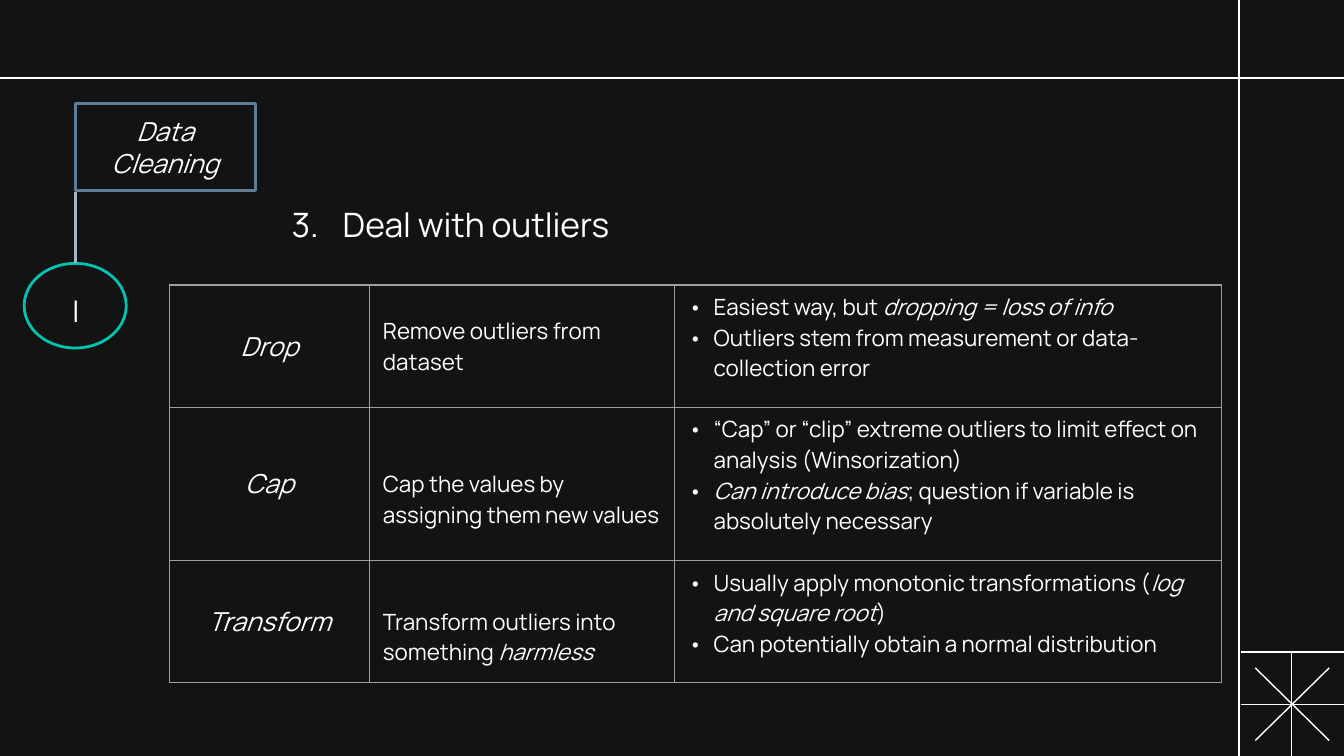
from dataclasses import dataclass

from lxml.etree import SubElement
from pptx import Presentation
from pptx.dml.color import RGBColor
from pptx.enum.shapes import MSO_CONNECTOR, MSO_SHAPE
from pptx.enum.text import MSO_ANCHOR as Anchor, MSO_AUTO_SIZE as AutoSize, PP_ALIGN as Align
from pptx.oxml import parse_xml
from pptx.oxml.ns import nsdecls, qn
from pptx.util import Inches, Pt


@dataclass(frozen=True)
class Theme:
    font: str = "Manrope"
    background: str = "131313"
    ink: str = "FFFFFF"
    flag: str = "5F7D95"
    pole: str = "A5B7C6"
    ring: str = "00C3B1"
    grid: str = "9E9E9E"
    title: int = 18
    numeral: int = 16
    label: int = 14
    body: int = 12
    thin: float = 0.75
    thick: float = 1.5


THEME = Theme()

# Asterisks enclose italic words
METHODS = [
    ("*Drop*", "Remove outliers from dataset",
     ["Easiest way, but *dropping = loss of info*",
      "Outliers stem from measurement or data-collection error"]),
    ("*Cap*", "Cap the values by assigning them new values",
     ["“Cap” or “clip” extreme outliers to limit effect on analysis (Winsorization)",
      "*Can introduce bias*; question if variable is absolutely necessary"]),
    ("*Transform*", "Transform outliers into something *harmless*",
     ["Usually apply monotonic transformations (*log and square root*)",
      "Can potentially obtain a normal distribution"]),
]
COLUMN_WIDTHS = (1.49, 2.27, 4.07)
ROW_HEIGHTS = (0.91, 1.14, 0.91)
DESCRIPTION_TOPS = (0.05, 0.28, 0.28)  # lower rows sit half a line below centre


def rgb(color):
    return RGBColor.from_string(color)


def add_bullet(paragraph, indent, bullet):
    """Hang a paragraph behind a mark; bullet is a tag name and its attributes."""
    tag, attributes = bullet
    properties = paragraph._p.get_or_add_pPr()
    properties.set("marL", str(Inches(indent)))
    properties.set("indent", str(-Inches(indent)))
    mark_color = SubElement(properties, qn("a:buClr"))
    SubElement(mark_color, qn("a:srgbClr"), val=THEME.ink)
    SubElement(properties, qn("a:buFont"), typeface=THEME.font)
    SubElement(properties, qn(tag), **attributes)


def write_text(frame, *lines, size=THEME.body, align=Align.LEFT, bullet=None, indent=0.19):
    for number, line in enumerate(lines):
        paragraph = frame.add_paragraph() if number else frame.paragraphs[0]
        paragraph.alignment = align
        if bullet:
            add_bullet(paragraph, indent, bullet)
        for part, words in enumerate(line.split("*")):
            if words:
                run = paragraph.add_run()
                run.text = words
                run.font.name = THEME.font
                run.font.size = Pt(size)
                run.font.italic = part % 2 == 1
                run.font.color.rgb = rgb(THEME.ink)


def add_line(slide, start, end, color=THEME.ink, width=THEME.thin):
    line = slide.shapes.add_connector(
        MSO_CONNECTOR.STRAIGHT, *(Inches(value) for value in (*start, *end)))
    line.line.color.rgb = rgb(color)
    line.line.width = Pt(width)
    SubElement(line._element.spPr, qn("a:effectLst"))
    return line


def add_outline(slide, preset, box, color):
    outline = slide.shapes.add_shape(preset, *map(Inches, box))
    outline.shadow.inherit = False
    outline.fill.background()
    outline.line.color.rgb = rgb(color)
    outline.line.width = Pt(THEME.thick)
    return outline


def add_frame_lines(slide):
    # Long rules
    add_line(slide, (9.22, 5.72), (9.22, -0.1))
    add_line(slide, (-0.1, 0.58), (10.1, 0.58))
    add_line(slide, (9.23, 4.85), (10.1, 4.85))
    # Corner star
    add_line(slide, (9.61, 5.63), (9.61, 4.85))
    add_line(slide, (9.23, 5.24), (10, 5.24))
    add_line(slide, (9.89, 5.51), (9.34, 4.97))
    add_line(slide, (9.89, 4.97), (9.34, 5.51))


def add_section_flag(slide):
    ring = add_outline(slide, MSO_SHAPE.OVAL, (0.18, 1.96, 0.76, 0.63), THEME.ring)
    numeral = slide.shapes.add_textbox(
        *map(Inches, (0.44, 2.13, 0.23, 0.34))).text_frame
    numeral.word_wrap = False
    write_text(numeral, "I", size=THEME.numeral, align=Align.CENTER)

    pole = add_line(slide, (0.56, 1.96), (0.56, 1.43), THEME.pole, THEME.thick)
    pole.begin_connect(ring, 0)

    flag = add_outline(slide, MSO_SHAPE.RECTANGLE, (0.56, 0.77, 1.34, 0.65), THEME.flag)
    section = flag.text_frame
    section.word_wrap = True
    section.vertical_anchor = Anchor.MIDDLE
    section.margin_left = section.margin_right = Inches(0.1)
    section.margin_top = section.margin_bottom = Inches(0.1)
    write_text(section, "*Data Cleaning*", size=THEME.label, align=Align.CENTER)


def add_heading(slide):
    heading = slide.shapes.title
    heading.left, heading.top, heading.width, heading.height = map(
        Inches, (2.07, 1.47, 7.02, 1.31))
    heading.text_frame.auto_size = AutoSize.NONE
    heading.text_frame.word_wrap = True
    heading.text_frame.vertical_anchor = Anchor.TOP
    write_text(heading.text_frame, "Deal with outliers", size=THEME.title, indent=0.38,
               bullet=("a:buAutoNum", {"type": "arabicPeriod", "startAt": "3"}))


def style_cell(cell, anchor, top=0.05):
    cell.fill.background()
    cell.vertical_anchor = anchor
    cell.margin_left = cell.margin_right = Inches(0.1)
    cell.margin_top, cell.margin_bottom = Inches(top), Inches(0.05)
    properties = cell._tc.get_or_add_tcPr()
    for position, side in enumerate("LRTB"):
        properties.insert(position, parse_xml(
            f'<a:ln{side} {nsdecls("a")} w="{Pt(THEME.thin)}"><a:solidFill>'
            f'<a:srgbClr val="{THEME.grid}"/></a:solidFill></a:ln{side}>'))


def add_methods_table(slide):
    table = slide.shapes.add_table(
        len(METHODS), len(COLUMN_WIDTHS), Inches(1.26), Inches(2.12),
        Inches(sum(COLUMN_WIDTHS)), Inches(sum(ROW_HEIGHTS))).table
    table.first_row = table.horz_banding = False
    for column, width in zip(table.columns, COLUMN_WIDTHS):
        column.width = Inches(width)

    rows = zip(table.rows, ROW_HEIGHTS, DESCRIPTION_TOPS, METHODS)
    for row, height, top, (method, description, remarks) in rows:
        row.height = Inches(height)
        method_cell, description_cell, remarks_cell = row.cells
        style_cell(method_cell, Anchor.MIDDLE)
        write_text(method_cell.text_frame, method, size=THEME.label, align=Align.CENTER)
        style_cell(description_cell, Anchor.MIDDLE, top)
        write_text(description_cell.text_frame, description)
        style_cell(remarks_cell, Anchor.TOP)
        write_text(remarks_cell.text_frame, *remarks, bullet=("a:buChar", {"char": "•"}))


def main():
    deck = Presentation()
    deck.slide_width = Inches(10)
    deck.slide_height = deck.slide_width * 9 // 16
    slide = deck.slides.add_slide(deck.slide_layouts[5])
    slide.background.fill.solid()
    slide.background.fill.fore_color.rgb = rgb(THEME.background)

    add_frame_lines(slide)
    add_section_flag(slide)
    add_heading(slide)
    add_methods_table(slide)
    deck.save("out.pptx")


if __name__ == "__main__":
    main()
